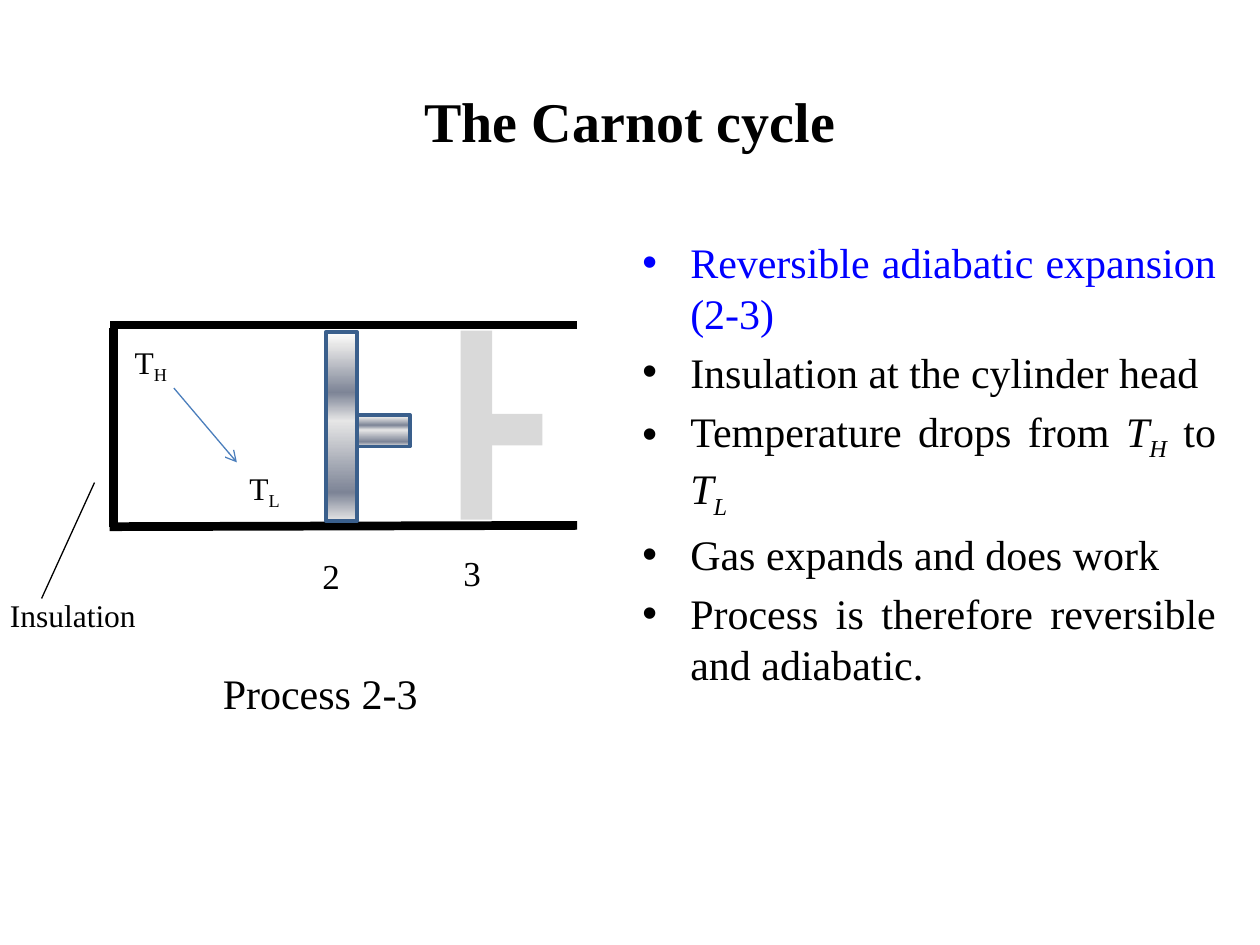
from typing import NamedTuple

from lxml import etree
from pptx import Presentation
from pptx import util as u
from pptx.dml.color import RGBColor
from pptx.enum import shapes, text
from pptx.oxml import parse_xml
from pptx.oxml.ns import nsdecls, qn

FONT = "Times New Roman"
BLACK, BLUE, GHOST = "000000", "0000FF", "D9D9D9"
STEEL = [(0, "FFFFFF"), (7, "E6E6E6"), (32, "7D8496"),
         (47, "E6E6E6"), (85, "7D8496"), (100, "E6E6E6")]


class Run(NamedTuple):
    words: str
    sub: bool = False
    italic: bool = False


class Label(NamedTuple):
    left: float
    top: float
    width: float
    height: float
    size: int
    runs: list[Run]
    wrap: bool = True


class Line(NamedTuple):
    start: tuple[float, float]
    end: tuple[float, float]
    color: str
    weight: float
    arrow: bool = False


class Part(NamedTuple):
    """A piston plate or rod, lying flat before its quarter turn."""
    left: float
    top: float
    width: float
    height: float
    steel: bool


class Point(NamedTuple):
    runs: list[Run]
    color: str = BLACK


LINES = [
    Line((4.58, 2.58), (0.87, 2.58), BLACK, 5),
    Line((4.58, 4.17), (0.87, 4.18), BLACK, 5),
    Line((0.9, 2.6), (0.9, 4.18), BLACK, 5),
    Line((1.38, 3.08), (1.88, 3.67), "4B7EBC", 0.75, arrow=True),
    Line((0.75, 3.83), (0.33, 4.75), BLACK, 0.75),
]
PARTS = [
    Part(1.96, 3.26, 1.5, 0.25, True),
    Part(2.92, 3.21, 0.25, 0.42, True),
    Part(3.03, 3.25, 1.5, 0.25, False),
    Part(3.97, 3.2, 0.25, 0.42, False),
]
LABELS = [
    Label(0.97, 2.67, 0.58, 0.4, 18, [Run("T"), Run("H", sub=True)]),
    Label(1.88, 3.67, 0.58, 0.4, 18, [Run("T"), Run("L", sub=True)]),
    Label(3.58, 4.33, 0.42, 0.44, 20, [Run("3")]),
    Label(2.46, 4.35, 0.42, 0.44, 20, [Run("2")]),
    Label(-0.02, 4.68, 1.21, 0.4, 18, [Run("Insulation")], wrap=False),
    Label(1.67, 5.25, 1.76, 0.5, 24, [Run("Process 2-3")], wrap=False),
]
POINTS = [
    Point([Run("Reversible adiabatic expansion (2-3)")], BLUE),
    Point([Run("Insulation at the cylinder head")]),
    Point([Run("Temperature drops from "),
           Run("T", italic=True), Run("H", sub=True, italic=True),
           Run(" to "),
           Run("T", italic=True), Run("L", sub=True, italic=True)]),
    Point([Run("Gas expands and does work")]),
    Point([Run("Process is therefore reversible and adiabatic.")]),
]


def rgb(code: str) -> RGBColor:
    return RGBColor.from_string(code)


def style(font, color: str = BLACK, **values) -> None:
    for name, value in {"name": FONT, **values}.items():
        setattr(font, name, value)
    font.color.rgb = rgb(color)


def add_runs(para, runs: list[Run], size: int, color: str = BLACK) -> None:
    for item in runs:
        run = para.add_run()
        run.text = item.words
        style(run.font, color, size=u.Pt(size), italic=item.italic)
        if item.sub:
            run._r.get_or_add_rPr().set("baseline", "-25000")


def add_line(slide, line: Line) -> None:
    ends = [u.Inches(n) for n in (*line.start, *line.end)]
    shape = slide.shapes.add_connector(shapes.MSO_CONNECTOR.STRAIGHT, *ends)
    shape.line.color.rgb = rgb(line.color)
    shape.line.width = u.Pt(line.weight)
    if line.arrow:
        ln = shape.line._get_or_add_ln()
        etree.SubElement(ln, qn("a:tailEnd"), type="arrow")
    etree.SubElement(shape._element.spPr, qn("a:effectLst"))


def fill_steel(shape) -> None:
    shape.fill.gradient()
    grad = shape._element.spPr.find(qn("a:gradFill"))
    stops = "".join(
        f'<a:gs pos="{pos * 1000}"><a:srgbClr val="{code}"/></a:gs>'
        for pos, code in STEEL)
    grad.replace(grad.find(qn("a:gsLst")), parse_xml(
        f'<a:gsLst {nsdecls("a")}>{stops}</a:gsLst>'))
    shape.fill.gradient_angle = 0


def add_part(slide, part: Part) -> None:
    box = [u.Inches(n) for n in part[:4]]
    shape = slide.shapes.add_shape(shapes.MSO_SHAPE.RECTANGLE, *box)
    shape.rotation = 90
    shape.shadow.inherit = False
    if part.steel:
        fill_steel(shape)
        shape.line.color.rgb = rgb("3A5F8C")
        shape.line.width = u.Pt(2)
    else:
        shape.fill.solid()
        shape.fill.fore_color.rgb = rgb(GHOST)
        shape.line.fill.background()


def add_label(slide, label: Label) -> None:
    box = [u.Inches(n) for n in label[:4]]
    frame = slide.shapes.add_textbox(*box).text_frame
    frame.word_wrap = label.wrap
    frame.auto_size = text.MSO_AUTO_SIZE.SHAPE_TO_FIT_TEXT
    add_runs(frame.paragraphs[0], label.runs, label.size)


def add_points(slide, points: list[Point]) -> None:
    box = [u.Inches(n) for n in (5, 1.83, 4.75, 4.67)]
    frame = slide.shapes.add_textbox(*box).text_frame
    frame.word_wrap = True
    for i, point in enumerate(points):
        para = frame.add_paragraph() if i else frame.paragraphs[0]
        para.alignment = text.PP_ALIGN.JUSTIFY
        para.space_before = u.Pt(5 if i else 0)
        props = para._p.get_or_add_pPr()
        indent = u.Inches(0.38)
        props.set("marL", str(indent))
        props.set("indent", str(-indent))
        etree.SubElement(props, qn("a:buFont"), typeface="Arial")
        etree.SubElement(props, qn("a:buChar"), char="•")
        add_runs(para, point.runs, 24, point.color)


def add_title(slide, words: str) -> None:
    title = slide.shapes.title
    spots = {"left": 0.5, "top": 0.58, "width": 9, "height": 0.75}
    for name, value in spots.items():
        setattr(title, name, u.Inches(value))
    title.text_frame.vertical_anchor = text.MSO_ANCHOR.MIDDLE
    para = title.text_frame.paragraphs[0]
    para.alignment = text.PP_ALIGN.CENTER
    run = para.add_run()
    run.text = words
    style(run.font, size=u.Pt(32), bold=True)


def main() -> None:
    deck = Presentation()
    deck.slide_width, deck.slide_height = u.Inches(10), u.Inches(7.5)
    slide = deck.slides.add_slide(deck.slide_layouts[5])
    add_title(slide, "The Carnot cycle")
    add_points(slide, POINTS)
    for draw, items in ((add_line, LINES), (add_part, PARTS),
                        (add_label, LABELS)):
        for item in items:
            draw(slide, item)
    deck.save("out.pptx")


if __name__ == "__main__":
    main()
